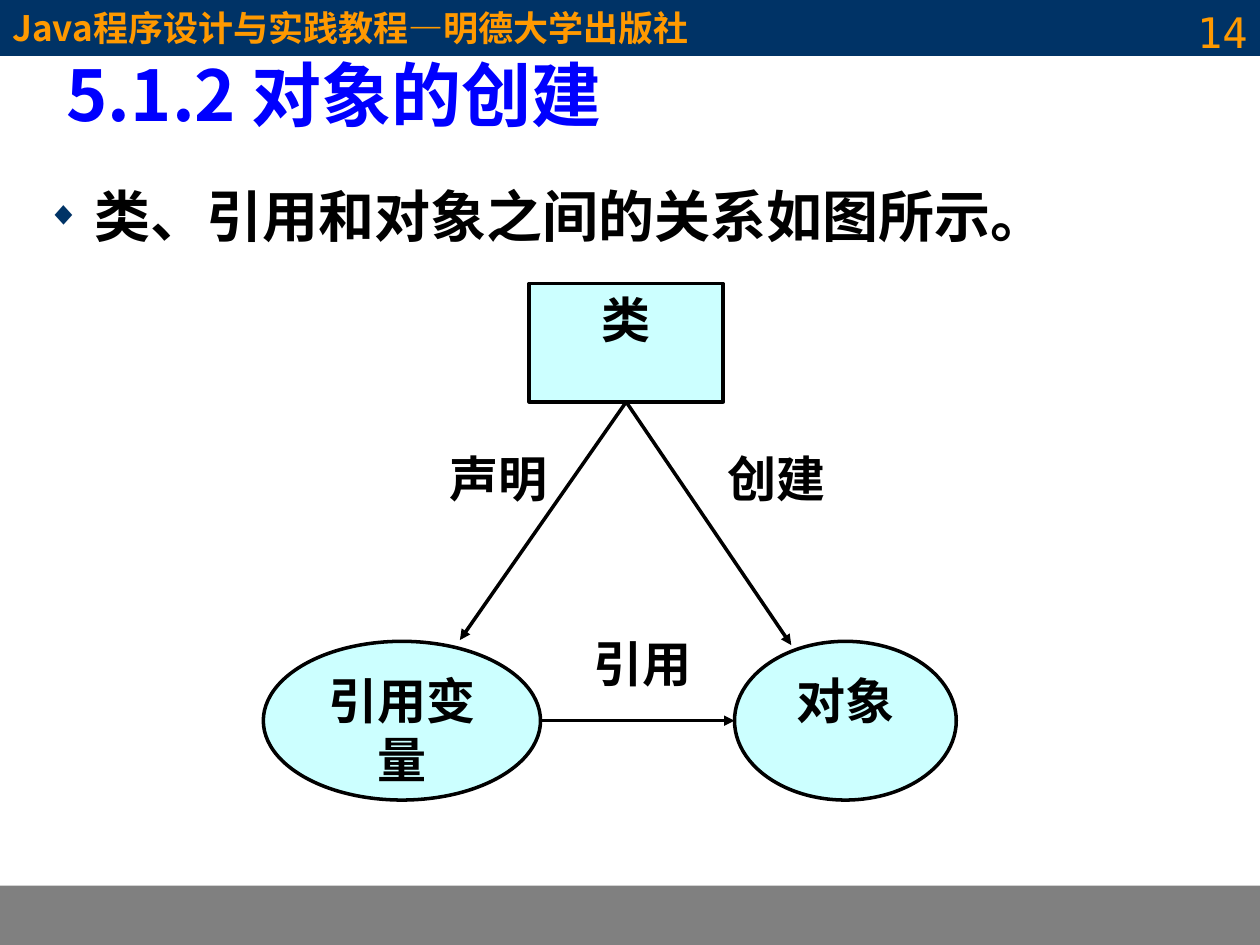
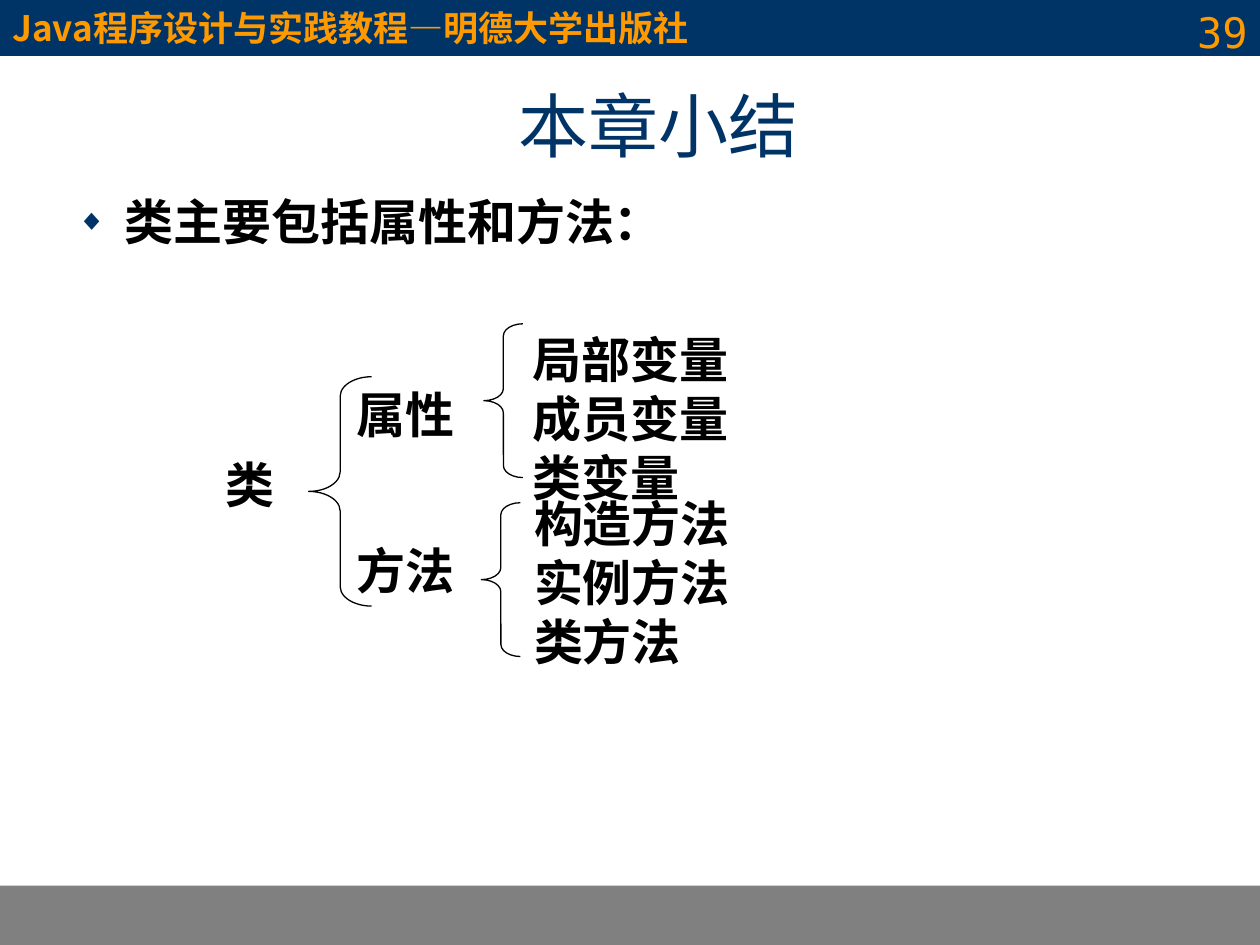
from dataclasses import dataclass
from lxml.etree import SubElement
from pptx import Presentation
from pptx.dml.color import RGBColor
from pptx.enum.shapes import MSO_CONNECTOR, MSO_SHAPE
from pptx.enum.text import MSO_ANCHOR, MSO_AUTO_SIZE, PP_ALIGN
from pptx.oxml.ns import qn
from pptx.util import Inches, Pt

UNIT = Inches(0.1)


@dataclass(frozen=True)
class Theme:
    """Colours, fonts and type sizes shared by the slides."""
    navy: str = "003366"
    orange: str = "FF9900"
    grey: str = "808080"
    blue: str = "0000FF"
    black: str = "000000"
    pale: str = "CCFFFF"
    heading_font: str = "Noto Sans CJK SC"
    body_font: str = "Arial"
    figure_font: str = "Times New Roman"
    number_font: str = "DejaVu Sans Mono"
    title_size: int = 40
    lead_size: int = 32
    text_size: int = 28
    number_size: int = 24
    band_size: int = 20


THEME = Theme()


@dataclass(frozen=True)
class Box:
    """A rectangle on a grid of 100 columns and 75 rows."""
    col: float
    row: float
    cols: float
    rows: float

    def inner(self, col, row, cols, rows):
        """Return a box placed relative to this one."""
        return Box(self.col + col, self.row + row, cols, rows)

    def frame(self):
        """Return left, top, width and height as lengths."""
        return [round(side * UNIT) for side in (self.col, self.row, self.cols, self.rows)]


PAGE = Box(0, 0, 100, 75)


def rgb(colour):
    """Turn a hex string into a colour."""
    return RGBColor.from_string(colour)


def write(shape, lines, font, size, colour, bold=True, align=PP_ALIGN.LEFT, anchor=MSO_ANCHOR.TOP):
    """Fill a shape with evenly formatted paragraphs."""
    frame = shape.text_frame
    frame.word_wrap = True
    frame.auto_size = MSO_AUTO_SIZE.NONE
    frame.vertical_anchor = anchor
    frame.text = "\n".join(lines)
    for para in frame.paragraphs:
        para.alignment = align
        para.font.name = font
        para.font.size = Pt(size)
        para.font.bold = bold
        para.font.color.rgb = rgb(colour)


def add_label(slide, box, *lines, align=PP_ALIGN.LEFT):
    """Add bold figure text without a border."""
    label = slide.shapes.add_textbox(*box.frame())
    write(label, lines, THEME.figure_font, THEME.text_size, THEME.black, align=align)


def add_panel(slide, kind, box, fill=None, line=None, width=0.75):
    """Add a flat preset shape."""
    panel = slide.shapes.add_shape(kind, *box.frame())
    panel.shadow.inherit = False
    if fill:
        panel.fill.solid()
        panel.fill.fore_color.rgb = rgb(fill)
    else:
        panel.fill.background()
    if line:
        panel.line.color.rgb = rgb(line)
        panel.line.width = Pt(width)
    else:
        panel.line.fill.background()
    return panel


def add_node(slide, kind, box, text):
    """Add a filled diagram node."""
    node = add_panel(slide, kind, box, THEME.pale, THEME.black, 2)
    write(node, [text], THEME.figure_font, THEME.text_size, THEME.black, align=PP_ALIGN.CENTER)


def add_arrow(slide, box, start, end):
    """Join two grid points of a box with an arrow."""
    points = [box.inner(*point, 0, 0).frame()[:2] for point in (start, end)]
    arrow = slide.shapes.add_connector(MSO_CONNECTOR.STRAIGHT, *points[0], *points[1])
    arrow.line.color.rgb = rgb(THEME.black)
    arrow.line.width = Pt(2)
    outline = arrow._element.spPr.find(qn("a:ln"))
    SubElement(outline, qn("a:tailEnd"), type="triangle")
    SubElement(arrow._element.spPr, qn("a:effectLst"))


def add_brace(slide, box):
    """Add a thin left brace."""
    brace = add_panel(slide, MSO_SHAPE.LEFT_BRACE, box, line=THEME.black)
    brace.adjustments[0] = 0.31


def add_bands(slide, box, number):
    """Draw the header with its page number, and the footer."""
    add_panel(slide, MSO_SHAPE.RECTANGLE, box.inner(0, 70.3, box.cols, 4.7), THEME.grey)
    header = add_panel(slide, MSO_SHAPE.RECTANGLE, box.inner(0, 0, box.cols, 4.4), THEME.navy, THEME.navy)
    write(header, ["Java程序设计与实践教程—明德大学出版社"], THEME.heading_font, THEME.band_size,
          THEME.orange, anchor=MSO_ANCHOR.MIDDLE)
    counter = slide.shapes.add_textbox(*box.inner(76.7, 0, 23.3, 5.2).frame())
    write(counter, [str(number)], THEME.number_font, THEME.number_size, THEME.orange,
          bold=False, align=PP_ALIGN.RIGHT)


def move(shape, box):
    """Place a shape on a box."""
    shape.left, shape.top, shape.width, shape.height = box.frame()


def place_title(slide, box, text, **style):
    """Move and format the title placeholder."""
    title = slide.shapes.title
    move(title, box)
    write(title, [text], size=THEME.title_size, **style)


def place_bullet(slide, box, text, size):
    """Move the body placeholder and give it a diamond bullet."""
    body = slide.placeholders[1]
    move(body, box)
    write(body, [text], THEME.body_font, size, THEME.black)
    para = body.text_frame.paragraphs[0]
    para.space_before = Pt(size / 4)
    props = para._p.get_or_add_pPr()
    props.set("marL", str(Inches(0.38)))
    props.set("indent", str(-Inches(0.38)))
    default_run = props.find(qn("a:defRPr"))
    SubElement(SubElement(props, qn("a:buClr")), qn("a:srgbClr"), val=THEME.navy)
    SubElement(props, qn("a:buSzPct"), val="60000")
    SubElement(props, qn("a:buChar"), char="◆")
    props.append(default_run)


def draw_relations(slide, box):
    """Draw the triangle of class, reference and object."""
    apex, middle = (28.8, 9.4), 34.7
    add_node(slide, MSO_SHAPE.RECTANGLE, box.inner(21.1, 0, 15.4, 9.4), "类")
    for col, cols, text in ((0, 22, "引用变量"), (37.4, 17.6, "对象")):
        add_node(slide, MSO_SHAPE.OVAL, box.inner(col, 28.4, cols, 12.6), text)
    for start, end in ((apex, (15.6, 28.3)), (apex, (41.9, 28.7)), ((22, middle), (37.4, middle))):
        add_arrow(slide, box, start, end)
    for col, row, text in ((13.2, 12.6, "声明"), (35.2, 12.6, "创建"), (24.6, 27.3, "引用")):
        add_label(slide, box.inner(col, row, 11, 9.4), text, align=PP_ALIGN.CENTER)


def draw_members(slide, box):
    """Draw the brace tree of a class and its members."""
    add_label(slide, box.inner(0, 9.9, 7.5, 5.7), "类")
    add_brace(slide, box.inner(7.6, 4.2, 5, 18.2))
    branches = (
        ("属性", 4.3, (21.5, 0), (24.4, 0), ("局部变量", "成员变量", "类变量")),
        ("方法", 16.7, (21.3, 14.2), (24.5, 13), ("构造方法", "实例方法", "类方法")),
    )
    for name, row, brace, members, lines in branches:
        add_label(slide, box.inner(10.4, row, 12.5, 5.7), name)
        add_brace(slide, box.inner(*brace, 3.1, 12.2))
        add_label(slide, box.inner(*members, 21.9, 15), *lines)


def add_page(deck, number):
    """Add a title and content slide with the shared bands."""
    slide = deck.slides.add_slide(deck.slide_layouts[1])
    add_bands(slide, PAGE, number)
    return slide


def build_creation(deck):
    """Build the slide on creating objects."""
    slide = add_page(deck, 14)
    place_title(slide, PAGE.inner(4.3, 3.6, 85, 7.5), "5.1.2 对象的创建",
                font=THEME.heading_font, colour=THEME.blue)
    place_bullet(slide, PAGE.inner(2.7, 13.9, 94.5, 55.9), "类、引用和对象之间的关系如图所示。", THEME.lead_size)
    draw_relations(slide, PAGE.inner(20.9, 22.5, 55, 41))


def build_summary(deck):
    """Build the chapter summary slide."""
    slide = add_page(deck, 39)
    place_title(slide, PAGE.inner(11.4, 6.8, 81.7, 6.2), "本章小结", font=THEME.body_font, colour=THEME.navy,
                bold=False, align=PP_ALIGN.CENTER, anchor=MSO_ANCHOR.MIDDLE)
    place_bullet(slide, PAGE.inner(5.1, 14.7, 90, 49.5), "类主要包括属性和方法：", THEME.text_size)
    draw_members(slide, PAGE.inner(16.9, 25.7, 46.4, 28))


def main():
    """Build and save the deck."""
    deck = Presentation()
    deck.slide_width, deck.slide_height = PAGE.frame()[2:]
    build_creation(deck)
    build_summary(deck)
    deck.save("out.pptx")


if __name__ == "__main__":
    main()
